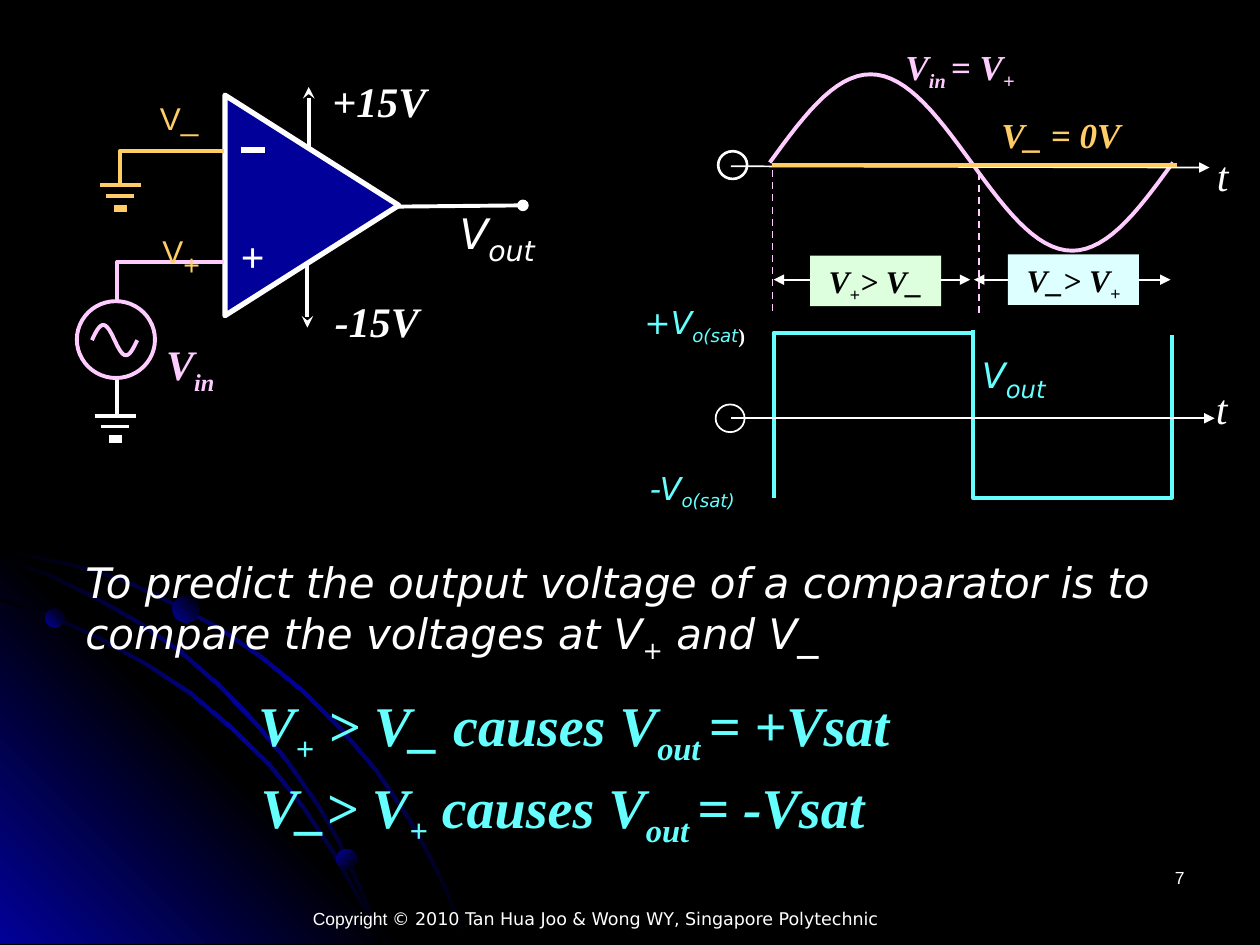
from math import pi, sin
from lxml.etree import SubElement as Sub
from pptx import Presentation
from pptx.dml.color import RGBColor
from pptx.enum.dml import MSO_LINE
from pptx.enum.shapes import MSO_CONNECTOR as Link, MSO_SHAPE as Kind
from pptx.enum.text import PP_ALIGN as Al
from pptx.oxml.ns import qn
from pptx.util import Inches, Pt

SANS, SERIF, ARIAL = "DejaVu Sans", "Times New Roman", "Arial"
WHITE, BLACK, NAVY = "FFFFFF", "000000", "010199"
PINK, GOLD, AQUA = "FFCCFF", "FFCC66", "66FFFF"
HEAVY = dict(font=SERIF, bold=True, ital=True)
SLANT = dict(font=SANS, ital=True)
PLAIN = dict(font=ARIAL)
MID = dict(align=Al.CENTER)

# All places are in units of a grid of 100 columns by 75 rows.
# Backdrop: outer edge of each swoosh, then balls as (x, y, size, angle)
ARCS = [
    [(0, 43.5), (2.8, 44.1), (5.7, 44.7), (9.8, 45.9), (13.6, 47.7), (17.4, 49.7),
     (20.9, 52.1), (24.2, 54.8), (27.2, 57.8), (30, 61.1), (32.5, 64.8),
     (33.9, 67.3), (35.2, 69.8), (36.2, 72.3), (37.2, 74.9)],
    [(0, 47.5), (4.1, 48.8), (7.9, 50.5), (11.7, 52.6), (15.2, 54.9), (18.4, 57.6),
     (21.5, 60.6), (24.2, 64), (26.6, 67.6), (28.6, 71.2), (29.6, 73), (30.3, 74.9)],
    [(0, 44.2), (3.9, 45.5), (7.6, 47.3), (11.1, 49.3), (14.4, 51.6), (17.5, 54.3),
     (20.4, 57.3), (22.9, 60.3), (25.4, 63.9), (26.9, 66.5), (28.2, 69.3),
     (29.4, 72), (30.3, 74.9)],
]
GLOW = [(32.2, 74.9), (0, 74.9), (0, 42.7)]
BALLS = [(3.6, 48.3, 1.5, 315), (26.7, 67.4, 1.6, 45), (13.7, 47.3, 2.1, 315)]

PANELS = [(61.4, 2.3, 16.3, 41), (3.1, 3.4, 42.9, 35.1)]

# Text between ~ marks is subscript: (text, box, hue, size, format)
TAGS = [
    ("V~in~", (12.2, 26.4, 7.7, 5), PINK, 24, HEAVY),
    ("-15V", (25.6, 23, 9, 5), WHITE, 24, HEAVY),
    ("+15V", (25.4, 5.5, 10.2, 5), WHITE, 24, HEAVY),
    ("+", (18.1, 17.8, 3.9, 5), WHITE, 24, HEAVY),
    ("V~out~", (35.5, 15.4, 9.7, 5.7), WHITE, 24, dict(SLANT, low=28)),
    ("V_", (11.7, 7.4, 5.1, 4), GOLD, 18, PLAIN),
    ("V~+~", (11.9, 16.5, 5.2, 4.2), GOLD, 18, dict(PLAIN, low=28)),
    ("V~out~", (76.7, 27, 7.5, 5), AQUA, 20, dict(SLANT, low=24, wrap=False, **MID)),
    ("-V~o(sat)~", (50, 36.7, 9.9, 4), AQUA, 18, dict(SLANT, wrap=False, **MID)),
    ("t", (95.6, 11.4, 2.9, 5), WHITE, 24, dict(font=SERIF, ital=True, wrap=False, **MID)),
    ("t", (95.5, 29.9, 2.9, 5), WHITE, 24, dict(font=SERIF, ital=True, wrap=False, **MID)),
    ("V~in ~= V~+~", (70.7, 3.1, 11, 4.3), PINK, 20, dict(HEAVY, wrap=False, **MID)),
    ("V_ = 0V", (77.3, 8.5, 13.8, 4.3), GOLD, 20, dict(HEAVY, **MID)),
    ("To predict the output voltage of a comparator is to compare the voltages "
     "at V~+~ and V_", (5.8, 43.7, 88.6, 9), WHITE, 24, SLANT),
    ("V~+~ > V_ causes V~out ~= +Vsat", (19.5, 54.3, 78.1, 6.3), AQUA, 32, HEAVY),
    ("V_> V~+~ causes V~out ~= -Vsat", (19.7, 60.8, 74.9, 6.3), AQUA, 32, HEAVY),
    ("7", (71.7, 68.3, 23.3, 5), WHITE, 10, dict(PLAIN, align=Al.RIGHT)),
]
# Time spans: (text, arrow start, arrow end, box, fill)
SPANS = [("V~+~> V_", 61.4, 77, (64.3, 20.3, 10.4, 4), "DDFFDD"),
         ("V_> V~+~", 77.3, 92.9, (80, 20.2, 10.4, 4), "DDFFFF")]

# Lines: (x1, y1, x2, y2, hue, weight, format)
LINES = [
    (61.3, 13.5, 61.3, 25, PINK, 1, dict(dash=True)),
    (77.7, 13.7, 77.7, 25.1, PINK, 1, dict(dash=True)),
    (58, 13.2, 96, 13.3, WHITE, 1, dict(tail="triangle")),
    (58, 33.2, 96.4, 33.2, WHITE, 1, dict(tail="triangle")),
    (61.3, 13.1, 93.4, 13.1, GOLD, 2.25, {}),
    (31.5, 16.4, 41.5, 16.3, WHITE, 2.25, dict(tail="oval")),
    (19.1, 11.9, 21, 11.9, WHITE, 3, {}),
    (24.5, 11.9, 24.5, 6.9, WHITE, 2.25, dict(tail="stealth")),
    (24.4, 20.9, 24.4, 26, WHITE, 2.25, dict(tail="stealth")),
    (9.3, 30.2, 9.3, 33.1, WHITE, 2.25, {}),
]
WIRES = [
    ([(17.8, 20.8), (9.3, 20.8), (9.3, 24.2)], PINK),
    ([(17.8, 12), (9.5, 12), (9.5, 14.8)], GOLD),
    ([(61.4, 39.5), (61.4, 26.4), (77.3, 26.4)], AQUA),
    ([(77.2, 26.2), (77.2, 39.5), (93, 39.5), (93, 26.6)], AQUA),
]
# Sine waves: (left, width, middle, height); grounds: (middle, top, hue)
WAVES = [(61.1, 32, 12.9, 7), (7.3, 3.6, 27, 1.2)]
EARTHS = [(9.15, 33, WHITE), (9.55, 14.7, GOLD)]

deck = Presentation()
deck.slide_width, deck.slide_height = Inches(10), Inches(7.5)
slide = deck.slides.add_slide(deck.slide_layouts[6])
shapes = slide.shapes


def unit(n):
    return int(deck.slide_width * n / 100)


def rgb(hue):
    return RGBColor.from_string(hue)


def paint(shape, fill=None, hue=None, weight=1):
    shape.shadow.inherit = False
    if fill:
        shape.fill.solid()
        shape.fill.fore_color.rgb = rgb(fill)
    else:
        shape.fill.background()
    if hue:
        shape.line.color.rgb = rgb(hue)
        shape.line.width = Pt(weight)
    else:
        shape.line.fill.background()
    return shape


def form(kind, box, *look):
    return paint(shapes.add_shape(kind, *map(unit, box)), *look)


def path(pts, close=False, **look):
    pts = [(unit(x), unit(y)) for x, y in pts]
    pen = shapes.build_freeform(*pts[0])
    pen.add_line_segments(pts[1:], close=close)
    return paint(pen.convert_to_shape(), **look)


def blend(shape, hues, angle):
    """Fill a shape with evenly spaced gradient stops."""
    shape.fill.gradient()
    grad = shape._element.spPr.find(qn("a:gradFill"))
    for part in list(grad):
        grad.remove(part)
    stops = Sub(grad, qn("a:gsLst"))
    for i, hue in enumerate(hues):
        stop = Sub(stops, qn("a:gs"), pos=str(100000 * i // (len(hues) - 1)))
        Sub(stop, qn("a:srgbClr"), val=hue)
    Sub(grad, qn("a:lin"), ang=str(angle * 60000), scaled="0")


def line(x1, y1, x2, y2, hue, weight, dash=False, head=None, tail=None):
    link = shapes.add_connector(Link.STRAIGHT, *map(unit, (x1, y1, x2, y2)))
    link.line.color.rgb = rgb(hue)
    link.line.width = Pt(weight)
    if dash:
        link.line.dash_style = MSO_LINE.DASH
    props = link._element.spPr
    for tag, tip in (("a:headEnd", head), ("a:tailEnd", tail)):
        if tip:
            Sub(props.find(qn("a:ln")), qn(tag), type=tip)
    Sub(props, qn("a:effectLst"))


def add_run(para, words, hue, size, font, bold=False, ital=False, sub=False):
    run = para.add_run()
    run.text = words
    face = run.font
    face.name, face.size, face.bold, face.italic = font, Pt(size), bold, ital
    face.color.rgb = rgb(hue)
    if sub:
        face._element.set("baseline", "-25000")


def text(words, box, hue, size, low=None, align=Al.LEFT, wrap=True, fill=None, **face):
    shape = shapes.add_textbox(*map(unit, box))
    if fill:
        paint(shape, fill)
    shape.text_frame.word_wrap = wrap
    para = shape.text_frame.paragraphs[0]
    para.alignment = align
    for i, part in enumerate(words.split("~")):
        if part:
            sub = i % 2 == 1
            add_run(para, part, hue, low if sub and low else size, sub=sub, **face)
    return para


# Backdrop
slide.background.fill.solid()
slide.background.fill.fore_color.rgb = rgb(BLACK)
blend(path(GLOW, close=True), (NAVY, BLACK, NAVY), 315)
for arc in ARCS:
    inner = [(max(0, x - 0.2), min(74.9, y + 0.2)) for x, y in reversed(arc)]
    blend(path(arc + inner, close=True), (BLACK, NAVY, BLACK), 45)
for x, y, size, angle in BALLS:
    blend(form(Kind.OVAL, (x, y, size, size)), (NAVY, BLACK), angle)
for box in PANELS:
    form(Kind.RECTANGLE, box, BLACK)

# Op-amp, signal source and axis origins
amp = form(Kind.ISOSCELES_TRIANGLE, (16, 9.4, 17.5, 13.8), NAVY, WHITE, 3)
amp.rotation = 90
for pts, hue in WIRES:
    path(pts, hue=hue, weight=2.25)
form(Kind.OVAL, (6.1, 23.9, 6.2, 6.1), BLACK, PINK, 2.25)
form(Kind.OVAL, (57, 12, 2.3, 2.2), None, WHITE, 1.5)
form(Kind.OVAL, (56.8, 32.1, 2.3, 2.2), None, WHITE, 1)

# Waves, lines and grounds
for left, wide, mid, tall in WAVES:
    path([(left + wide * i / 60, mid - tall * sin(2 * pi * i / 60)) for i in range(61)],
         hue=PINK, weight=2.25)
for *ends, look in LINES:
    line(*ends, **look)
for mid, top, hue in EARTHS:
    for half, drop, weight in ((1.65, 0, 2.25), (1.1, 0.85, 2.25), (0.5, 1.85, 4.5)):
        line(mid - half, top + drop, mid + half, top + drop, hue, weight)

# Time spans and labels
for words, start, end, box, fill in SPANS:
    line(start, 22.2, end, 22.2, WHITE, 1, head="triangle", tail="triangle")
    text(words, box, BLACK, 18, fill=fill, **HEAVY, **MID)
for words, box, hue, size, look in TAGS:
    text(words, box, hue, size, **look)
high = text("+V~o(sat~", (49.8, 23.3, 10.7, 4.3), AQUA, 18, wrap=False, **SLANT, **MID)
add_run(high, ")", WHITE, 20, SERIF, bold=True, sub=True)
foot = text("Copyright ", (17.3, 71.6, 59.9, 3.4), WHITE, 10, **PLAIN, **MID)
add_run(foot, "© 2010 Tan Hua Joo & Wong WY, Singapore Polytechnic", WHITE, 10, SANS)

deck.save("out.pptx")
